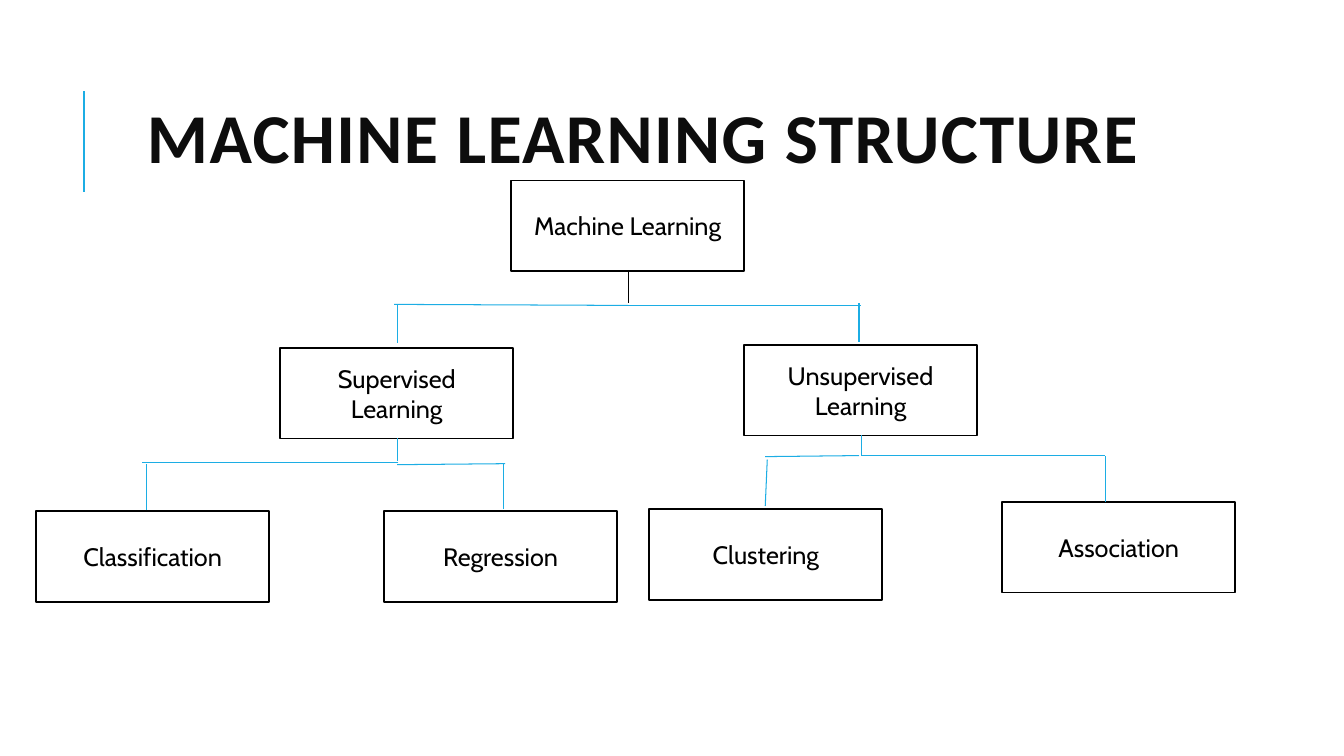
from dataclasses import dataclass

from lxml import etree
from pptx import Presentation
from pptx import util as u
from pptx.dml.color import RGBColor
from pptx.enum import shapes, text
from pptx.oxml.ns import qn

BLACK = RGBColor(0, 0, 0)
INK = RGBColor(0x0D, 0x0D, 0x0D)
WHITE = RGBColor(0xFF, 0xFF, 0xFF)
BLUE = RGBColor(0x1C, 0xAD, 0xE4)

CELL = u.Inches(0.1)
BOX_W, BOX_H = 23.1, 9


@dataclass
class Node:
    label: str
    col: float
    row: float


@dataclass
class Link:
    col: float
    row: float
    to_col: float
    to_row: float
    color: RGBColor = BLUE
    width: float = 0.75


NODES = [
    Node("Machine Learning", 50.7, 17.9),
    Node("Supervised Learning", 27.8, 34.5),
    Node("Unsupervised Learning", 73.8, 34.2),
    Node("Classification", 3.6, 50.7),
    Node("Regression", 38.1, 50.7),
    Node("Clustering", 64.4, 50.5),
    Node("Association", 99.4, 49.8),
]

RULE = Link(8.3, 19, 8.3, 9, width=1.5)

LINKS = [
    Link(62.3, 26.9, 62.3, 30.1, BLACK),
    Link(62.3, 30.3, 39.1, 30.2),
    Link(62.3, 30.3, 85.4, 30.3),
    Link(85.2, 33.9, 85.2, 30.1),
    Link(39.4, 34, 39.4, 30.2),
    Link(39.4, 43.5, 39.4, 45.7),
    Link(39.4, 46.1, 50.1, 46),
    Link(39.5, 45.9, 14.1, 45.9),
    Link(49.9, 50.5, 49.9, 45.9),
    Link(14.5, 50.6, 14.5, 46),
    Link(85.4, 43.2, 85.4, 45.2),
    Link(85.2, 45.2, 75.9, 45.3),
    Link(85.4, 45.2, 109.6, 45.2),
    Link(109.6, 49.8, 109.6, 45.2),
    Link(75.9, 50.2, 76.1, 45.6),
]

TITLE_FONT = {"name": "Calibri", "size": u.Pt(50), "bold": True}
NODE_FONT = {"name": "Cabin", "size": u.Pt(18), "bold": False}
FRAME = {"word_wrap": True, "vertical_anchor": text.MSO_ANCHOR.MIDDLE}


def grid(*cells: float) -> list[int]:
    return [round(n * CELL) for n in cells]


def style(item, values: dict) -> None:
    for key, value in values.items():
        setattr(item, key, value)


def write(shape, words: str, font: dict, color: RGBColor, para: dict):
    style(shape.text_frame, FRAME)
    line = shape.text_frame.paragraphs[0]
    style(line, para)
    run = line.add_run()
    run.text = words
    style(run.font, font)
    run.font.color.rgb = color
    return run


def draw_title(slide) -> None:
    box = slide.shapes.add_textbox(*grid(13.6, 7.1, 105, 14.3))
    run = write(box, "MACHINE LEARNING STRUCTURE", TITLE_FONT, INK,
                {"line_spacing": 0.8})
    run._r.get_or_add_rPr().set("spc", "100")


def draw_node(slide, node: Node) -> None:
    box = slide.shapes.add_shape(shapes.MSO_SHAPE.RECTANGLE,
                                 *grid(node.col, node.row, BOX_W, BOX_H))
    box.shadow.inherit = False
    box.fill.solid()
    box.fill.fore_color.rgb = WHITE
    box.line.color.rgb = BLACK
    box.line.width = u.Pt(1.25)
    write(box, node.label, NODE_FONT, BLACK,
          {"alignment": text.PP_ALIGN.CENTER})


def draw_link(slide, link: Link) -> None:
    ends = grid(link.col, link.row, link.to_col, link.to_row)
    line = slide.shapes.add_connector(shapes.MSO_CONNECTOR.STRAIGHT, *ends)
    line.line.color.rgb = link.color
    line.line.width = u.Pt(link.width)
    etree.SubElement(line._element.spPr, qn("a:effectLst"))


def main() -> None:
    deck = Presentation()
    style(deck, {"slide_width": u.Inches(13.33),
                 "slide_height": u.Inches(7.5)})
    slide = deck.slides.add_slide(deck.slide_layouts[6])
    draw_link(slide, RULE)
    draw_title(slide)
    for node in NODES:
        draw_node(slide, node)
    for link in LINKS:
        draw_link(slide, link)
    deck.save("out.pptx")


if __name__ == "__main__":
    main()
